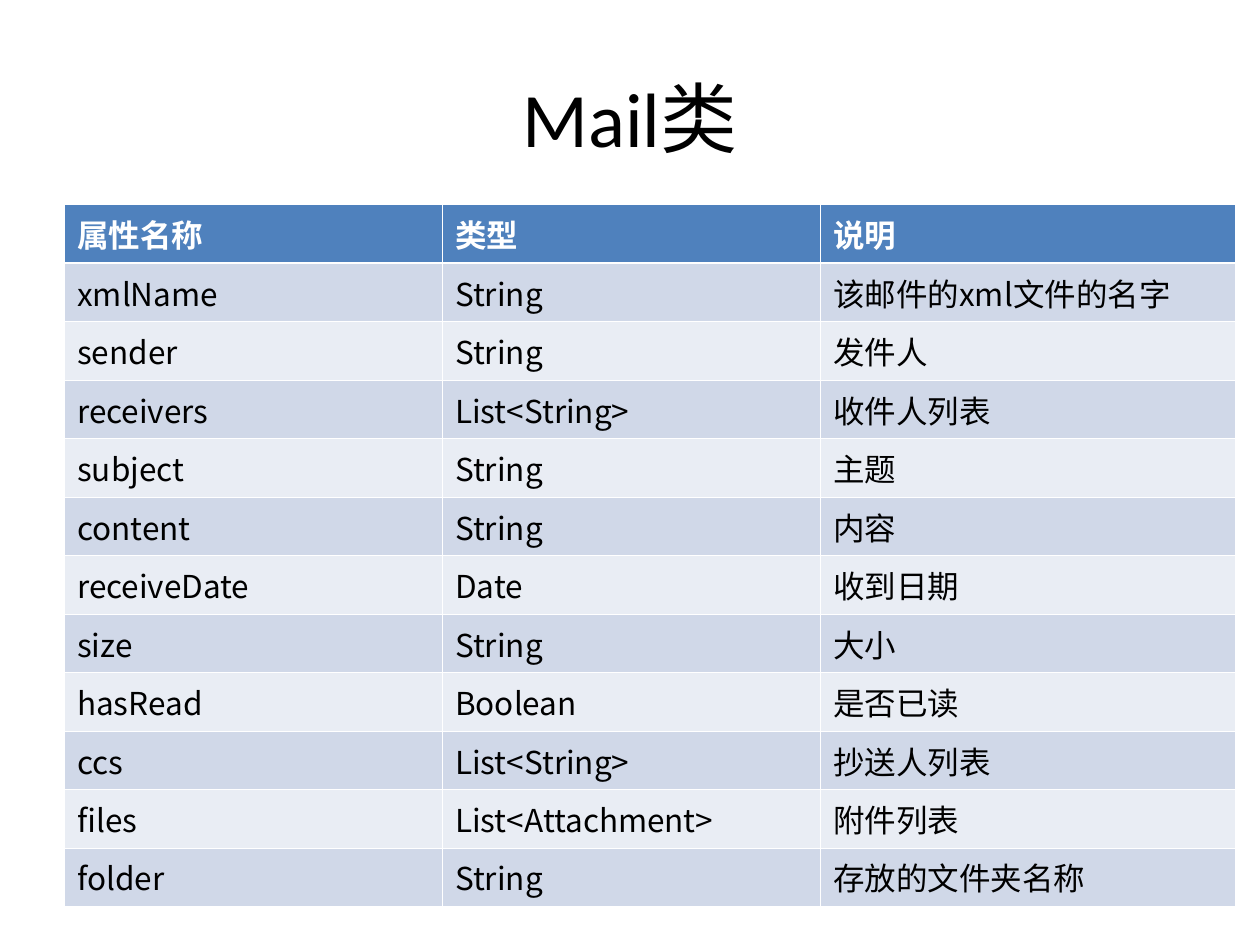
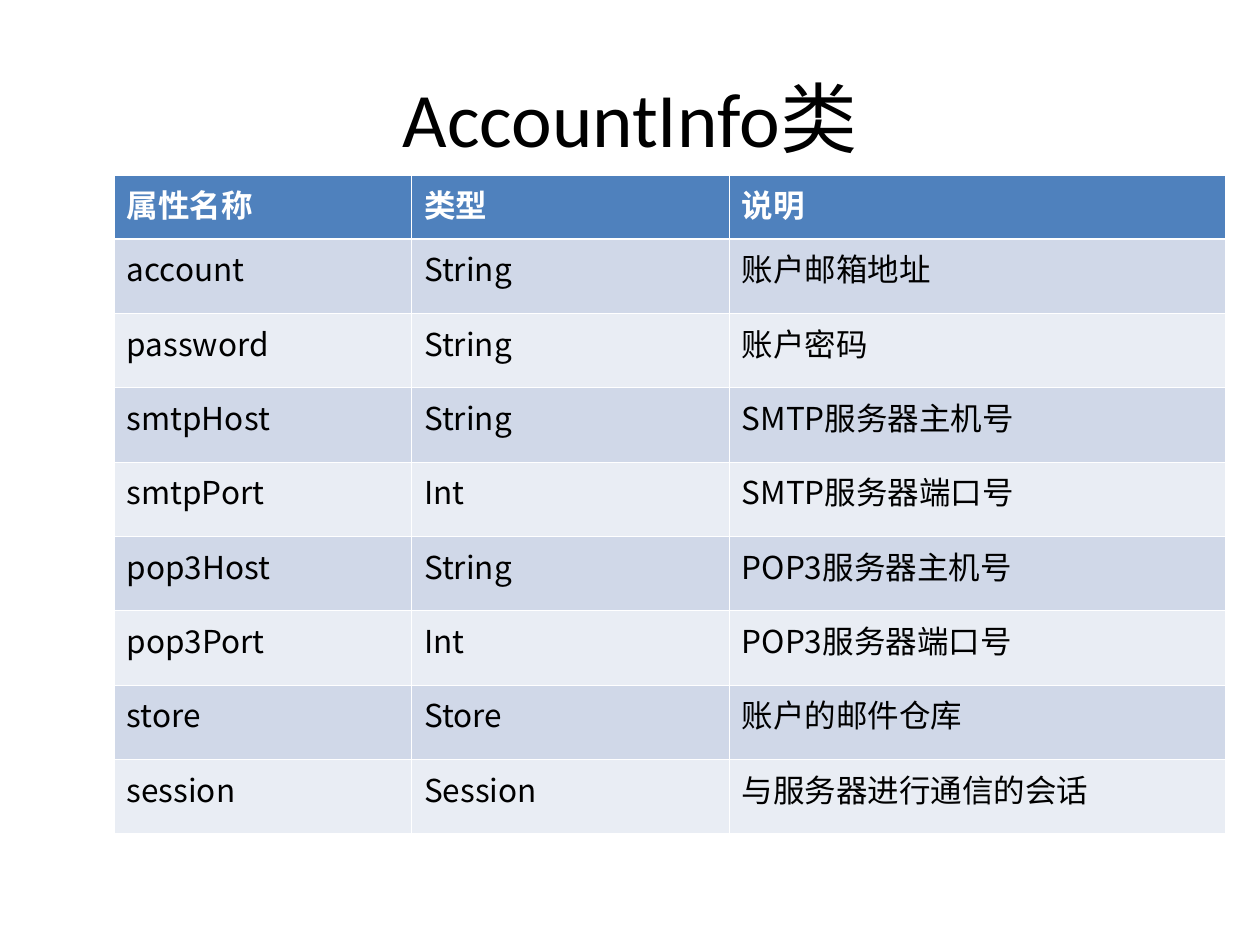
from lxml.etree import SubElement
from pptx import Presentation
from pptx.dml.color import RGBColor
from pptx.enum.text import MSO_ANCHOR, PP_ALIGN
from pptx.oxml.ns import qn
from pptx.util import Pt

LATIN, CHINESE = "Calibri", "Noto Sans CJK SC"
BLACK, WHITE = "000000", "FFFFFF"
HEADER_FILL, BAND_FILLS = "4F81BD", ("D0D8E8", "E9EDF4")
THIN, THICK = 0.45, 1.47
HEADINGS = ("属性名称", "类型", "说明")

# title, header font, left, top, column widths, header height, row height, rows
CLASSES = [
    ("Mail类", CHINESE, 36.9, 117, (216, 216, 236.9), 33.43, 33.43, [
        ("xmlName", "String", "该邮件的xml文件的名字"),
        ("sender", "String", "发件人"),
        ("receivers", "List<String>", "收件人列表"),
        ("subject", "String", "主题"),
        ("content", "String", "内容"),
        ("receiveDate", "Date", "收到日期"),
        ("size", "String", "大小"),
        ("hasRead", "Boolean", "是否已读"),
        ("ccs", "List<String>", "抄送人列表"),
        ("files", "List<Attachment>", "附件列表"),
        ("folder", "String", "存放的文件夹名称"),
    ]),
    ("AccountInfo类", LATIN, 65.2, 100, (170, 181.5, 283.5), 36.5, 42.5, [
        ("account", "String", "账户邮箱地址"),
        ("password", "String", "账户密码"),
        ("smtpHost", "String", "SMTP服务器主机号"),
        ("smtpPort", "Int", "SMTP服务器端口号"),
        ("pop3Host", "String", "POP3服务器主机号"),
        ("pop3Port", "Int", "POP3服务器端口号"),
        ("store", "Store", "账户的邮件仓库"),
        ("session", "Session", "与服务器进行通信的会话"),
    ]),
]


def color(hex_code):
    return RGBColor.from_string(hex_code)


def write(para, text, size, font_name, hex_code, bold=False):
    """Fill a paragraph, with the Chinese font for its East Asian text."""
    para.text = text
    font = para.font
    font.size, font.name, font.bold = Pt(size), font_name, bold
    font.color.rgb = color(hex_code)
    defaults = para._p.pPr.find(qn("a:defRPr"))
    SubElement(defaults, qn("a:ea"), typeface=CHINESE)


deck = Presentation()
deck.slide_width, deck.slide_height = Pt(720), Pt(540)

for title, header_font, left, top, widths, header_height, row_height, rows in CLASSES:
    page = deck.slides.add_slide(deck.slide_layouts[6])

    box = page.shapes.add_textbox(Pt(36), Pt(21.6), Pt(648), Pt(90))
    box.text_frame.word_wrap = True
    box.text_frame.vertical_anchor = MSO_ANCHOR.MIDDLE
    para = box.text_frame.paragraphs[0]
    para.alignment = PP_ALIGN.CENTER
    write(para, title, 44, LATIN, BLACK)

    heights = [header_height] + [row_height] * len(rows)
    table = page.shapes.add_table(
        len(heights), len(widths), Pt(left), Pt(top), Pt(sum(widths)), Pt(sum(heights))
    ).table
    for column, width in zip(table.columns, widths):
        column.width = Pt(width)

    for row_number, values in enumerate([HEADINGS] + rows):
        table.rows[row_number].height = Pt(heights[row_number])
        is_header = row_number == 0
        fill = HEADER_FILL if is_header else BAND_FILLS[(row_number - 1) % 2]
        borders = {
            "a:lnL": THIN,
            "a:lnR": THIN,
            "a:lnT": THICK if row_number == 1 else THIN,
            "a:lnB": THICK if is_header else THIN,
        }
        for column_number, value in enumerate(values):
            cell = table.cell(row_number, column_number)
            properties = cell._tc.get_or_add_tcPr()
            for tag, width in borders.items():
                line = SubElement(properties, qn(tag), w=str(Pt(width)))
                line_fill = SubElement(line, qn("a:solidFill"))
                SubElement(line_fill, qn("a:srgbClr"), val=WHITE)
            cell.fill.solid()
            cell.fill.fore_color.rgb = color(fill)
            write(
                cell.text_frame.paragraphs[0], value, 18,
                header_font if is_header else CHINESE,
                WHITE if is_header else BLACK, is_header,
            )

deck.save("out.pptx")
